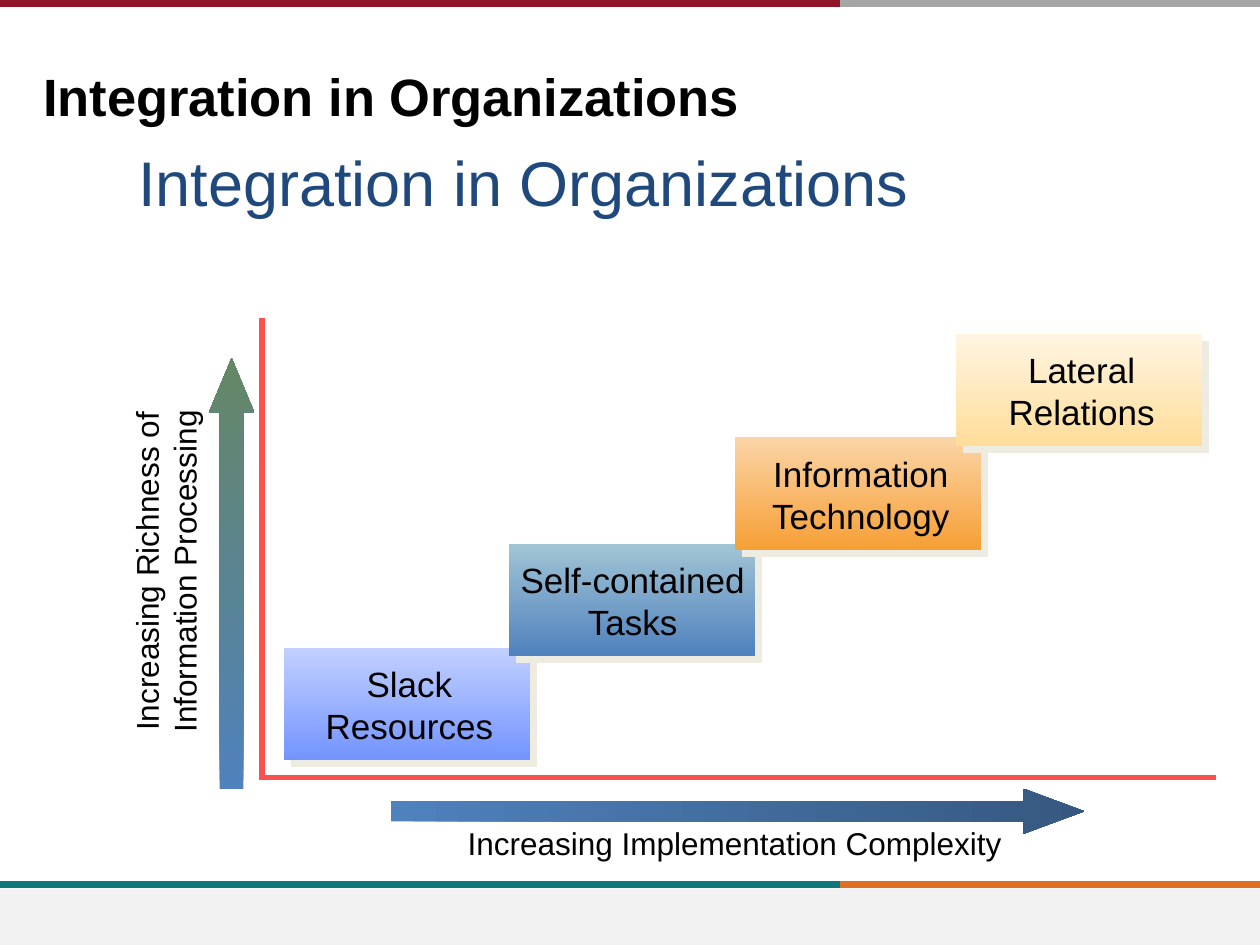
from lxml import etree
from pptx import Presentation
from pptx.dml.color import RGBColor
from pptx.enum.shapes import MSO_CONNECTOR, MSO_SHAPE
from pptx.enum.text import MSO_ANCHOR, PP_ALIGN
from pptx.oxml.ns import qn
from pptx.util import Cm, Pt

STRAIGHT = MSO_CONNECTOR.STRAIGHT
RECTANGLE, RIGHT_ARROW = MSO_SHAPE.RECTANGLE, MSO_SHAPE.RIGHT_ARROW
LEFT, CENTER = PP_ALIGN.LEFT, PP_ALIGN.CENTER
TOP, MIDDLE, BOTTOM = MSO_ANCHOR.TOP, MSO_ANCHOR.MIDDLE, MSO_ANCHOR.BOTTOM

FONT = "Arial"
BLACK = "000000"
SHADOW = "EEECE1"
AXIS = "FF5050"
WIDTH, HEIGHT = 25.4, 19.05
SPLIT = 16.93

BANDS = [
    (0.08, "90152A", "A6A6A6"),
    (17.83, "0F787D", "DF7023"),
]
FOOTER = (0, 17.91, WIDTH, 1.14)
AXES = [
    (5.23, 15.67, 24.51, 15.67),
    (5.28, 15.67, 5.28, 6.42),
]
STEP_WIDTH, STEP_HEIGHT = 4.96, 2.27
LABEL_HEIGHT, LABEL_DROP = 1.96, 0.18
STEPS = [
    ("Slack Resources", 5.72, 13.06, 0.2, 4.67, "C2D0FF", "7394FF"),
    ("Self-contained Tasks", 10.26, 10.96, -0.07, 5.13, "A2C5D5", "4F81BD"),
    ("Information Technology", 14.82, 8.81, 0.2, 4.67, "FBD5A7", "F69F36"),
    ("Lateral Relations", 19.27, 6.73, 0.2, 4.67, "FFF5E1", "FEDD9A"),
]
ARROWS = [
    ((7.88, 15.9, 13.98, 0.91), 0, (0.449, 1.348), ("4F81BD", "365880")),
    ((0.32, 11.11, 8.7, 0.91), 270, (0.527, 1.203), ("4F81BD", "658765")),
]
TITLE = "Integration in Organizations"
TEXTS = [
    (TITLE, (0.62, 1.17, 20.29, 1.5), 30, BLACK, True, LEFT, MIDDLE, 1, 0),
    (TITLE, (2.54, 2.06, 22.23, 2.51), 36, "1F497D", False, LEFT, BOTTOM, 0.9, 0),
    ("Increasing Implementation Complexity", (8.74, 16.48, 12.14, 1.02),
     18, BLACK, False, CENTER, TOP, 1, 0),
    ("Increasing Richness of Information Processing", (-0.69, 10.63, 8.05, 1.78),
     18, BLACK, False, CENTER, TOP, 1, 270),
]


def rgb(color):
    return RGBColor.from_string(color)


def add_line(slide, points, color, width):
    line = slide.shapes.add_connector(STRAIGHT, *map(Cm, points))
    line.line.color.rgb = rgb(color)
    line.line.width = Pt(width)
    etree.SubElement(line._element.spPr, qn("a:effectLst"))


def add_plain_shape(slide, kind, box):
    shape = slide.shapes.add_shape(kind, *map(Cm, box))
    shape.shadow.inherit = False
    shape.line.fill.background()
    return shape


def fill_gradient(shape, colors, angle):
    shape.fill.gradient()
    shape.fill.gradient_angle = angle
    for stop, color in zip(shape.fill.gradient_stops, colors):
        stop.color.rgb = rgb(color)


def add_shadow(shape):
    effects = shape._element.spPr.find(qn("a:effectLst"))
    outer = etree.SubElement(effects, qn("a:outerShdw"), dist=str(Pt(5.7)),
                             dir="2700000", algn="ctr", rotWithShape="0")
    etree.SubElement(outer, qn("a:srgbClr"), val=SHADOW)


def add_text(slide, text, box, size, color, bold, align, anchor, spacing, rotation):
    label = slide.shapes.add_textbox(*map(Cm, box))
    label.rotation = rotation
    frame = label.text_frame
    frame.text = text
    frame.word_wrap = True
    frame.vertical_anchor = anchor
    paragraph = frame.paragraphs[0]
    paragraph.alignment = align
    paragraph.line_spacing = spacing
    font = paragraph.runs[0].font
    font.name, font.size, font.bold = FONT, Pt(size), bold
    font.color.rgb = rgb(color)


def add_step(slide, text, left, top, inset, label_width, *colors):
    step = add_plain_shape(slide, RECTANGLE, (left, top, STEP_WIDTH, STEP_HEIGHT))
    fill_gradient(step, colors, 270)
    add_shadow(step)
    box = (left + inset, top + LABEL_DROP, label_width, LABEL_HEIGHT)
    add_text(slide, text, box, 20, BLACK, False, CENTER, TOP, 1, 0)


def main():
    presentation = Presentation()
    presentation.slide_width, presentation.slide_height = Cm(WIDTH), Cm(HEIGHT)
    slide = presentation.slides.add_slide(presentation.slide_layouts[6])

    for y, left_color, right_color in BANDS:
        add_line(slide, (SPLIT, y, WIDTH, y), right_color, 4)
        add_line(slide, (0, y, SPLIT, y), left_color, 4)
    footer = add_plain_shape(slide, RECTANGLE, FOOTER)
    footer.fill.solid()
    footer.fill.fore_color.rgb = rgb("F2F2F2")

    for text in TEXTS:
        add_text(slide, *text)
    for step in STEPS:
        add_step(slide, *step)
    for points in AXES:
        add_line(slide, points, AXIS, 3)
    for box, rotation, adjustments, colors in ARROWS:
        arrow = add_plain_shape(slide, RIGHT_ARROW, box)
        arrow.rotation = rotation
        for index, value in enumerate(adjustments):
            arrow.adjustments[index] = value
        fill_gradient(arrow, colors, 0)

    presentation.save("out.pptx")


if __name__ == "__main__":
    main()
